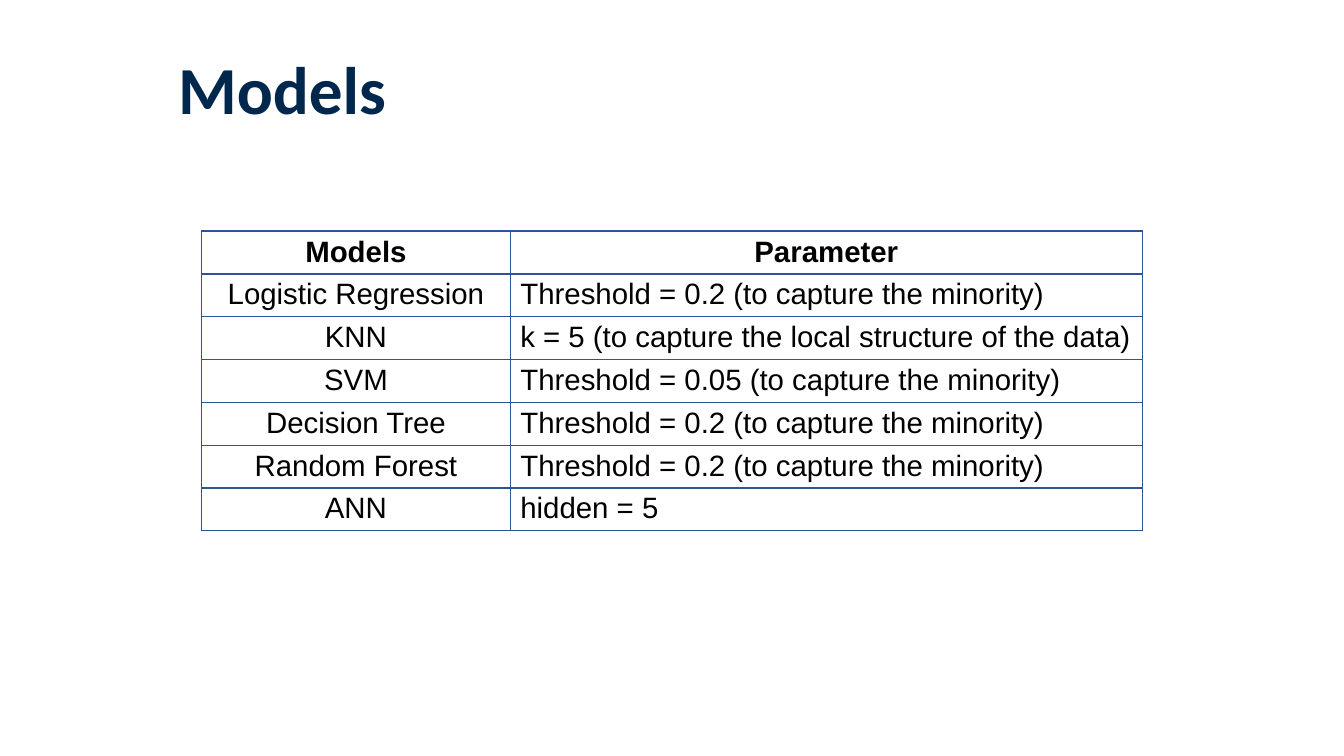
from dataclasses import dataclass

from lxml import etree
from pptx import Presentation
from pptx.dml.color import RGBColor
from pptx.enum import text
from pptx.oxml import ns
from pptx.util import Pt


@dataclass(frozen=True)
class Theme:
    title_font: str = "Calibri"
    body_font: str = "Arial"
    title_size: float = 48
    body_size: float = 21
    title_color: str = "00274C"
    body_color: str = "000000"
    border_color: str = "2F5496"
    background: str = "FFFFFF"
    border: float = 1
    header_border: float = 1.5


@dataclass(frozen=True)
class Model:
    name: str
    parameter: str


THEME = Theme()
HEADER = Model("Models", "Parameter")
MODELS = [
    Model("Logistic Regression", "Threshold = 0.2 (to capture the minority)"),
    Model("KNN", "k = 5 (to capture the local structure of the data)"),
    Model("SVM", "Threshold = 0.05 (to capture the minority)"),
    Model("Decision Tree", "Threshold = 0.2 (to capture the minority)"),
    Model("Random Forest", "Threshold = 0.2 (to capture the minority)"),
    Model("ANN", "hidden = 5"),
]
COLUMN_WIDTHS = (220.5, 451.5)
ROW_HEIGHT = 30.6


def format_run(r, font: str, size: float, color: str, bold: bool) -> None:
    r.font.name = font
    r.font.size = Pt(size)
    r.font.bold = bold
    r.font.color.rgb = RGBColor.from_string(color)


def add_border(cell, side: str, width: float) -> None:
    tc_pr = cell._tc.get_or_add_tcPr()
    ln = etree.SubElement(tc_pr, ns.qn(f"a:ln{side}"), w=str(Pt(width)))
    fill = etree.SubElement(ln, ns.qn("a:solidFill"))
    etree.SubElement(fill, ns.qn("a:srgbClr"), val=THEME.border_color)


def fill_cell(cell, value: str, row: int, centred: bool) -> None:
    cell.margin_left = cell.margin_right = Pt(7.2)
    cell.margin_top = cell.margin_bottom = Pt(3.2)
    cell.text_frame.text = value
    p = cell.text_frame.paragraphs[0]
    p.alignment = text.PP_ALIGN.CENTER if centred else text.PP_ALIGN.LEFT
    format_run(p.runs[0], THEME.body_font, THEME.body_size, THEME.body_color, row == 0)
    for side in "LRTB":
        under_header = (row, side) in ((0, "B"), (1, "T"))
        add_border(cell, side, THEME.header_border if under_header else THEME.border)
    cell.fill.background()


def add_title(s, value: str) -> None:
    sp = s.shapes.title
    sp.left, sp.top, sp.width, sp.height = Pt(120), Pt(28), Pt(720), Pt(67.5)
    tf = sp.text_frame
    tf.text = value
    tf.word_wrap = True
    tf.auto_size = text.MSO_AUTO_SIZE.NONE
    tf.vertical_anchor = text.MSO_ANCHOR.BOTTOM
    p = tf.paragraphs[0]
    p.alignment = text.PP_ALIGN.LEFT
    p.line_spacing = 0.9
    format_run(p.runs[0], THEME.title_font, THEME.title_size, THEME.title_color, True)


def add_model_table(s, models: list[Model]) -> None:
    rows = [HEADER, *models]
    frame = s.shapes.add_table(
        len(rows), len(COLUMN_WIDTHS), Pt(144), Pt(165),
        Pt(sum(COLUMN_WIDTHS)), Pt(ROW_HEIGHT * len(rows)),
    )
    table = frame.table
    table.horz_banding = False
    for column, width in zip(table.columns, COLUMN_WIDTHS):
        column.width = Pt(width)
    for i, model in enumerate(rows):
        table.rows[i].height = Pt(ROW_HEIGHT)
        fill_cell(table.cell(i, 0), model.name, i, True)
        fill_cell(table.cell(i, 1), model.parameter, i, i == 0)


def main() -> None:
    prs = Presentation()
    prs.slide_width, prs.slide_height = Pt(960), Pt(540)
    s = prs.slides.add_slide(prs.slide_layouts[0])
    s.background.fill.solid()
    s.background.fill.fore_color.rgb = RGBColor.from_string(THEME.background)
    subtitle = s.placeholders[1].element
    subtitle.getparent().remove(subtitle)
    add_title(s, "Models")
    add_model_table(s, MODELS)
    prs.save("out.pptx")


if __name__ == "__main__":
    main()
